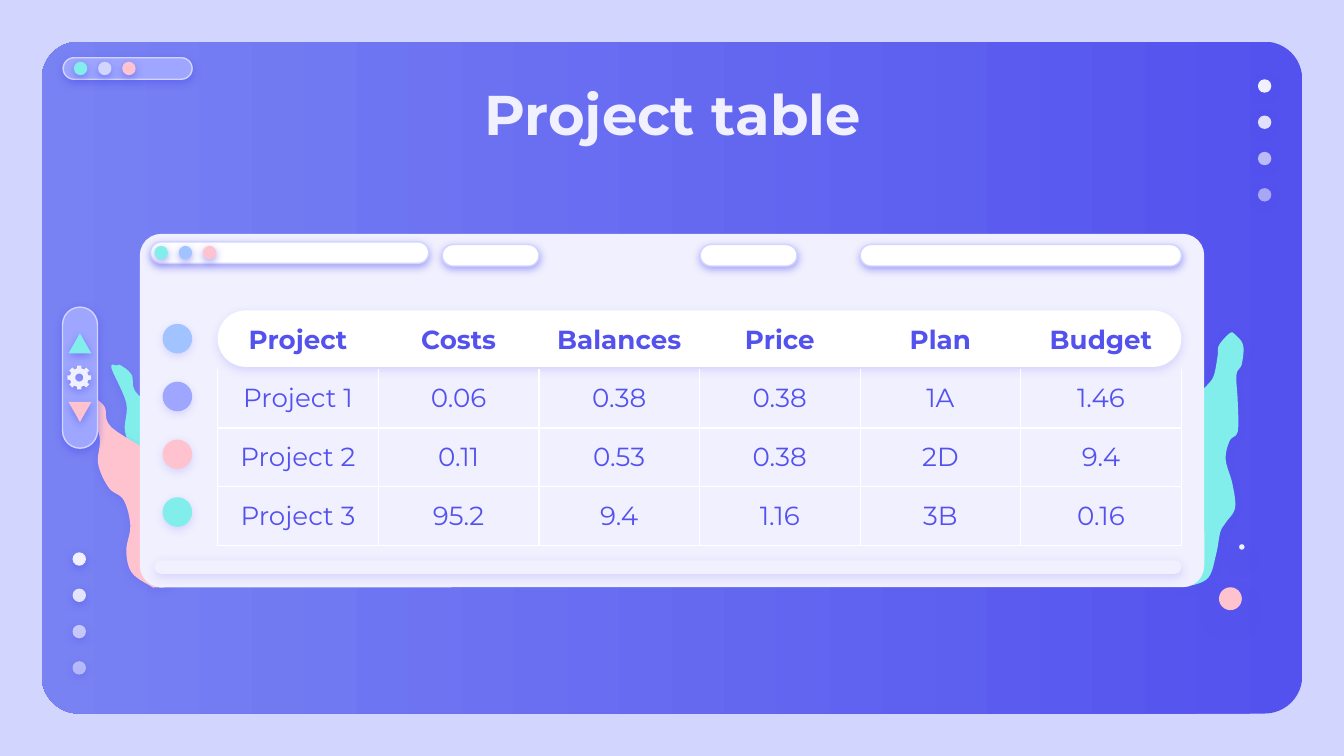
from dataclasses import dataclass
from math import cos, pi, sin

from lxml import etree
from pptx import Presentation
from pptx.dml.color import RGBColor
from pptx.enum.shapes import MSO_SHAPE
from pptx.enum.text import MSO_ANCHOR, MSO_AUTO_SIZE, PP_ALIGN
from pptx.oxml.ns import qn
from pptx.util import Inches, Pt

ROUND, OVAL, WEDGE = MSO_SHAPE.ROUNDED_RECTANGLE, MSO_SHAPE.OVAL, MSO_SHAPE.ISOSCELES_TRIANGLE
TOP, MIDDLE = MSO_ANCHOR.TOP, MSO_ANCHOR.MIDDLE
CENTER, NO_FIT = PP_ALIGN.CENTER, MSO_AUTO_SIZE.NONE
INSET = {"margin_" + side: Inches(0.1) for side in ("left", "top", "right", "bottom")}


@dataclass(frozen=True)
class Theme:
    """Colours, type sizes and shadows of the slide."""
    page: str = "D2D6FF"
    deep: str = "5352EE"
    soft: str = "7882F3"
    lilac: str = "9EA6FF"
    sky: str = "A1C3FF"
    mint: str = "81EEEB"
    pink: str = "FFC3D0"
    pale: str = "F1F0FF"
    white: str = "FFFFFF"
    font: str = "Montserrat"
    head: int = 30
    body: int = 14
    edge: float = 0.75
    glow: tuple = (50, 4.5, 1.5)
    faint: tuple = (16, 4.5, 1.5)
    leaf: tuple = (22, 4.5, 1.5)
    drop: tuple = (38, 12.4, 6.8)


LEAF = [(0.87, 2.72), (0.83, 2.74), (0.94, 3), (0.93, 3.21), (1.01, 3.39), (1.12, 3.48),
        (1.17, 3.67), (1.14, 3.86), (1.18, 4.02), (1.32, 4.12), (1.36, 4.13), (1.47, 4.11),
        (1.7, 3.92), (1.58, 3.48), (1.47, 3.4), (1.37, 3.17), (1.03, 2.94), (0.98, 2.79),
        (0.9, 2.72)]
FROND = [(9.15, 2.48), (9.07, 2.57), (9.06, 2.65), (9.03, 2.8), (8.97, 2.88), (8.92, 2.94),
         (8.87, 3.2), (8.8, 3.44), (8.69, 3.69), (8.73, 3.81), (8.77, 4), (8.73, 4.1),
         (8.71, 4.24), (8.76, 4.33), (8.84, 4.36), (8.99, 4.3), (9.05, 4.12), (9.08, 3.96),
         (9.12, 3.89), (9.19, 3.78), (9.17, 3.6), (9.12, 3.42), (9.15, 3.28), (9.21, 3.21),
         (9.21, 2.99), (9.2, 2.79), (9.24, 2.71), (9.25, 2.57), (9.19, 2.49)]
ROWS = [["Project", "Costs", "Balances", "Price", "Plan", "Budget"],
        ["Project 1", "0.06", "0.38", "0.38", "1A", "1.46"],
        ["Project 2", "0.11", "0.53", "0.38", "2D", "9.4"],
        ["Project 3", "95.2", "9.4", "1.16", "3B", "0.16"]]


def apply(item, style):
    """Set each attribute named in the style."""
    for name, value in style.items():
        setattr(item, name, value)


def smooth(points, steps=6):
    """Return a closed curve through the points."""
    curve, count = [], len(points)
    for i in range(count):
        a, b, c, d = (points[(i + k) % count] for k in (-1, 0, 1, 2))
        for t in (n / steps for n in range(steps)):
            curve.append(tuple(
                q + t * (r - p) / 2 + t * t * (2 * p - 5 * q + 4 * r - s) / 2
                + t ** 3 * (3 * q - p - 3 * r + s) / 2
                for p, q, r, s in zip(a, b, c, d)))
    return curve


def ring(x, y, radii, angles):
    """Return points around a centre, cycling through the radii."""
    return [(x + radii[i % len(radii)] * cos(a), y + radii[i % len(radii)] * sin(a))
            for i, a in enumerate(angles)]


class Deck:
    """Holds the theme and the current slide."""

    def __init__(self, theme):
        self.theme = theme
        self.file = Presentation()
        apply(self.file, {"slide_width": Inches(10), "slide_height": Inches(10) * 9 // 16})
        self.slide = self.file.slides.add_slide(self.file.slide_layouts[5])
        self.shapes = self.slide.shapes
        self.paint(self.slide.background.fill, theme.page)

    def paint(self, fill, color):
        fill.solid()
        fill.fore_color.rgb = RGBColor.from_string(color)

    def finish(self, shape, color, shade=None, edge=False, alpha=100):
        self.paint(shape.fill, color)
        props = shape.element.spPr
        if alpha < 100:
            tint = props.find(qn("a:solidFill"))[0]
            etree.SubElement(tint, qn("a:alpha"), val=str(alpha * 1000))
        if edge:
            self.paint(shape.line.fill, self.theme.page)
            shape.line.width = Pt(self.theme.edge)
        else:
            shape.line.fill.background()
        shape.shadow.inherit = False
        if shade:
            dark, blur, gap = shade
            cast = etree.SubElement(
                props.find(qn("a:effectLst")), qn("a:outerShdw"), blurRad=str(Pt(blur)),
                dist=str(Pt(gap)), dir="5400000", algn="bl", rotWithShape="0")
            tint = etree.SubElement(cast, qn("a:srgbClr"), val=self.theme.deep)
            etree.SubElement(tint, qn("a:alpha"), val=str(dark * 1000))
        return shape

    def shape(self, kind, box, color, shade=None, edge=False, alpha=100, turn=0, bend=None):
        shape = self.shapes.add_shape(kind, *map(Inches, box))
        shape.rotation = turn
        if bend is not None:
            shape.adjustments[0] = bend
        return self.finish(shape, color, shade, edge, alpha)

    def pill(self, box, color, shade, edge=True, turn=0):
        return self.shape(ROUND, box, color, shade, edge, turn=turn, bend=0.5)

    def dots(self, x, y, size, colors, shade, dx=0, dy=0, alphas=(100,) * 4):
        for i, (color, alpha) in enumerate(zip(colors, alphas)):
            self.shape(OVAL, (x + i * dx, y + i * dy, size, size), color, shade, alpha=alpha)

    def free(self, loops, color, shade):
        first, *rest = [[tuple(map(Inches, point)) for point in loop] for loop in loops]
        build = self.shapes.build_freeform(*first[0])
        build.add_line_segments(first[1:])
        for loop in rest:
            build.move_to(*loop[0])
            build.add_line_segments(loop[1:])
        return self.finish(build.convert_to_shape(), color, shade)

    def text(self, frame, words, size, color, bold):
        part = frame.paragraphs[0]
        part.text = words
        part.alignment = CENTER
        apply(part.font, {"name": self.theme.font, "size": Pt(size), "bold": bold})
        part.font.color.rgb = RGBColor.from_string(color)

    def title(self, words, box):
        title = self.shapes.title
        self.shapes.element.append(title.element)
        apply(title, dict(zip(("left", "top", "width", "height"), map(Inches, box))))
        apply(title.text_frame, {"vertical_anchor": TOP, "auto_size": NO_FIT,
                                 "word_wrap": True, **INSET})
        self.text(title.text_frame, words, self.theme.head, self.theme.pale, True)

    def border(self, cell, row):
        props = cell._tc.get_or_add_tcPr()
        for side in "LRTB":
            line = etree.SubElement(props, qn("a:ln" + side), w=str(Pt(self.theme.edge)))
            if row == 0 or (row == 1 and side == "T"):
                etree.SubElement(line, qn("a:noFill"))
            else:
                fill = etree.SubElement(line, qn("a:solidFill"))
                etree.SubElement(fill, qn("a:srgbClr"), val=self.theme.white)

    def table(self, rows, box):
        frame = self.shapes.add_table(len(rows), len(rows[0]), *map(Inches, box))
        table = frame.table
        apply(table, {"first_row": False, "horz_banding": False})
        for r, row in enumerate(rows):
            for c, words in enumerate(row):
                cell = table.cell(r, c)
                self.border(cell, r)
                cell.fill.background()
                apply(cell, {"vertical_anchor": MIDDLE, **INSET})
                self.text(cell.text_frame, words, self.theme.body, self.theme.deep, r == 0)


def main():
    """Build the slide and save it."""
    t = Theme()
    deck = Deck(t)
    panel = deck.shape(ROUND, (0.31, 0.31, 9.38, 5), t.deep, bend=0.056)
    panel.fill.gradient()
    panel.fill.gradient_angle = 180
    for stop, color in zip(panel.fill.gradient_stops, (t.deep, t.soft)):
        stop.color.rgb = RGBColor.from_string(color)
    deck.pill((0.47, 0.43, 0.96, 0.16), t.lilac, t.glow)
    deck.dots(0.55, 0.46, 0.1, (t.mint, t.page, t.pink), t.glow, dx=0.18)
    for x, y in ((9.36, 0.59), (0.54, 4.11)):
        deck.dots(x, y, 0.1, [t.pale] * 4, t.glow, dy=0.27, alphas=(100, 90, 67, 54))

    deck.free([smooth(FROND)], t.mint, t.leaf)
    for color, dx, dy in ((t.mint, 0, 0), (t.pink, -0.2, 0.24)):
        deck.free([smooth([(x + dx, y + dy) for x, y in LEAF])], color, t.leaf)
    deck.dots(9.07, 4.37, 0.17, [t.pink], t.drop)
    deck.dots(9.22, 4.05, 0.04, [t.pale], t.drop)

    deck.shape(ROUND, (1.04, 1.74, 7.92, 2.63), t.pale, bend=0.061)
    deck.dots(1.21, 2.41, 0.22, (t.sky, t.lilac, t.pink, t.mint), t.faint, dy=0.43)
    deck.pill((1.15, 4.17, 7.64, 0.1), t.pale, t.faint, edge=False)
    for x, y, wide in ((1.12, 1.8, 2.07), (3.29, 1.82, 0.72), (5.21, 1.82, 0.72), (6.4, 1.82, 2.39)):
        deck.pill((x, y, wide, 0.16), t.white, t.glow)
    deck.pill((1.62, 2.31, 7.17, 0.42), t.white, t.faint, edge=False)
    deck.title("Project table", (0.79, 0.49, 8.43, 0.63))
    deck.table(ROWS, (1.62, 2.31, 7.17, 1.69))
    deck.dots(1.15, 1.83, 0.1, (t.mint, t.sky, t.pink), t.glow, dx=0.18)

    deck.pill((0.07, 2.68, 1.05, 0.26), t.lilac, t.glow, turn=90)
    deck.shape(WEDGE, (0.51, 2.48, 0.17, 0.15), t.mint, t.glow)
    deck.shape(WEDGE, (0.51, 2.99, 0.17, 0.15), t.pink, t.glow, turn=180)
    teeth = [k * pi / 4 + a for k in range(8) for a in (-0.24, -0.18, 0.18, 0.24)]
    gear = ring(0.59, 2.81, (0.07, 0.09, 0.09, 0.07), teeth)
    hole = ring(0.59, 2.81, (0.03,), [-k * pi / 12 for k in range(24)])
    deck.free([gear, hole], t.pale, t.glow)
    deck.file.save("out.pptx")


if __name__ == "__main__":
    main()
